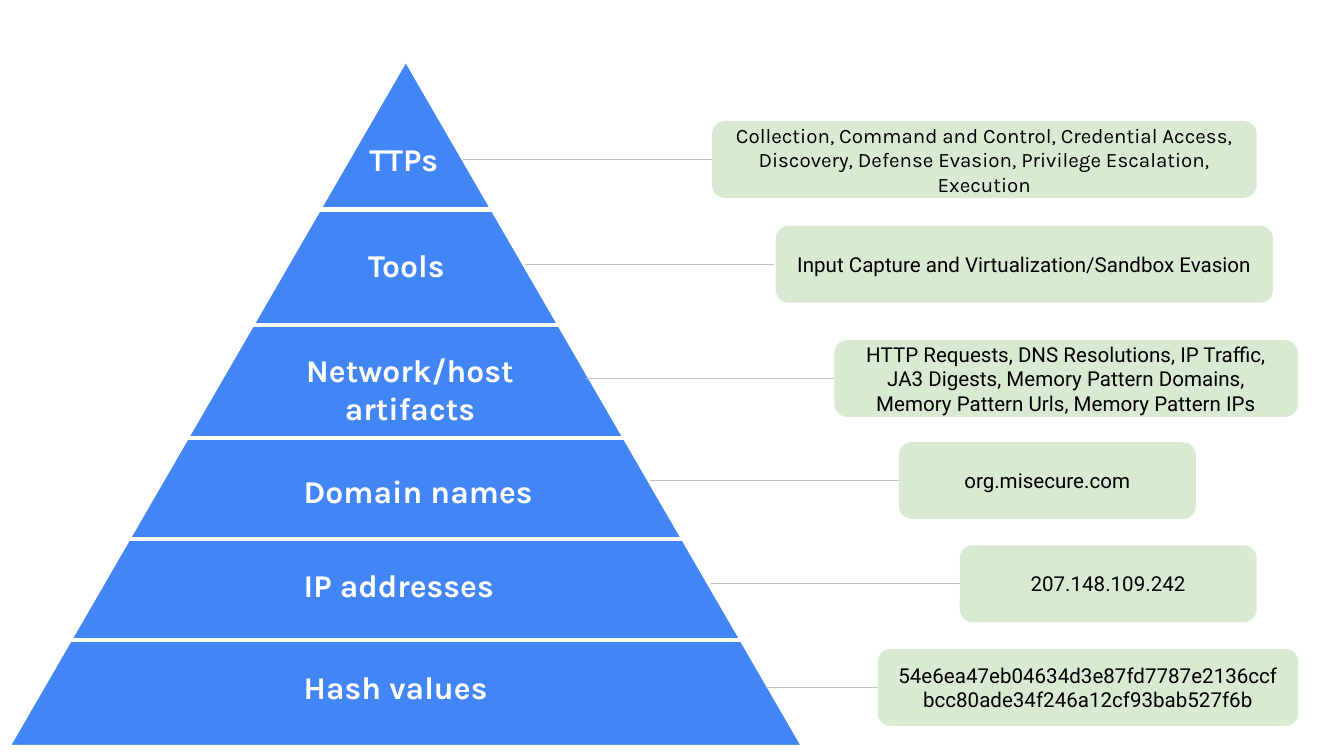
"""Build a pyramid slide that pairs six indicator tiers with examples."""
from lxml import etree
from pptx import Presentation
from pptx.dml.color import RGBColor
from pptx.enum.shapes import MSO_CONNECTOR, MSO_SHAPE
from pptx.enum.text import MSO_ANCHOR, PP_ALIGN
from pptx.oxml.ns import qn
from pptx.util import Cm, Pt

TRIANGLE = MSO_SHAPE.ISOSCELES_TRIANGLE
ROUNDED = MSO_SHAPE.ROUNDED_RECTANGLE
STRAIGHT, ELBOW = MSO_CONNECTOR.STRAIGHT, MSO_CONNECTOR.ELBOW
LEFT, CENTER = PP_ALIGN.LEFT, PP_ALIGN.CENTER
TOP, MIDDLE = MSO_ANCHOR.TOP, MSO_ANCHOR.MIDDLE

WHITE, BLACK, BLUE, GREEN, GRAY = "FFFFFF", "000000", "4285F4", "D9EAD3", "C2C2C2"
PYRAMID_LEFT, PYRAMID_TOP, PYRAMID_WIDTH, PYRAMID_HEIGHT = 0.15, 1.12, 15.04, 13
DIVIDER_TOPS = (3.96, 6.15, 8.28, 10.19, 12.09)
EXAMPLE_HEIGHT, LEADER_LENGTH, INSET = 1.45, 4.7, 0.25

# Label: text, left, top, width, height, alignment.
TIER_LABELS = (
    ("TTPs", 6.73, 2.39, 2.24, 1.24, LEFT),
    ("Tools", 6.71, 4.39, 2.24, 1.24, LEFT),
    ("Network/host artifacts", 4.98, 6.38, 5.54, 1.96, CENTER),
    ("Domain names", 5.49, 8.66, 5.69, 1.24, LEFT),
    ("IP addresses", 5.49, 10.44, 5.69, 1.24, LEFT),
    ("Hash values", 5.49, 12.37, 5.69, 1.24, LEFT),
)
# Example: text, font, leader start, left, top, width.
TIER_EXAMPLES = (
    ("Collection, Command and Control, Credential Access, Discovery, "
     "Defense Evasion, Privilege Escalation, Execution",
     "Karla", 8.76, 13.46, 2.29, 10.29),
    ("Input Capture and Virtualization/Sandbox Evasion",
     "Roboto", 9.93, 14.66, 4.27, 9.4),
    ("HTTP Requests, DNS Resolutions, IP Traffic, JA3 Digests, "
     "Memory Pattern Domains, Memory Pattern Urls, Memory Pattern IPs",
     "Roboto", 11.07, 15.77, 6.43, 8.76),
    ("org.misecure.com", "Roboto", 12.29, 16.99, 8.36, 5.61),
    ("207.148.109.242", "Roboto", 13.44, 18.14, 10.31, 5.61),
    ("54e6ea47eb04634d3e87fd7787e2136ccfbcc80ade34f246a12cf93bab527f6b",
     "Roboto", 14.48, 16.59, 12.27, 7.95),
)


def color(hex_code):
    """Return the colour for a hex string."""
    return RGBColor.from_string(hex_code)


def write_text(holder, text, font_name, size, hex_code, align, anchor, bold=False):
    """Write one formatted paragraph into a shape or text box."""
    frame = holder.text_frame
    frame.word_wrap = True
    frame.vertical_anchor = anchor
    frame.margin_left = frame.margin_right = Cm(INSET)
    frame.margin_top = frame.margin_bottom = Cm(INSET)
    paragraph = frame.paragraphs[0]
    paragraph.text = text
    paragraph.alignment = align
    font = paragraph.font
    font.name, font.size, font.bold = font_name, Pt(size), bold
    font.color.rgb = color(hex_code)


def add_filled(slide, preset, left, top, width, height, hex_code):
    """Add a flat filled shape without an outline."""
    filled = slide.shapes.add_shape(preset, Cm(left), Cm(top), Cm(width), Cm(height))
    filled.shadow.inherit = False
    filled.fill.solid()
    filled.fill.fore_color.rgb = color(hex_code)
    filled.line.fill.background()
    return filled


def add_level_line(slide, kind, start, end, top, hex_code, weight):
    """Add a horizontal connector without a shadow."""
    rule = slide.shapes.add_connector(kind, Cm(start), Cm(top), Cm(end), Cm(top))
    rule.line.color.rgb = color(hex_code)
    rule.line.width = Pt(weight)
    etree.SubElement(rule._element.spPr, qn("a:effectLst"))


def add_pyramid(slide):
    """Add the triangle and the dividers that span it at each height."""
    pyramid = add_filled(slide, TRIANGLE, PYRAMID_LEFT, PYRAMID_TOP,
                         PYRAMID_WIDTH, PYRAMID_HEIGHT, BLUE)
    pyramid.line.color.rgb = color(WHITE)
    pyramid.line.width = Pt(2.25)
    center = PYRAMID_LEFT + PYRAMID_WIDTH / 2
    for top in DIVIDER_TOPS:
        reach = (top - PYRAMID_TOP) / PYRAMID_HEIGHT * PYRAMID_WIDTH / 2
        add_level_line(slide, STRAIGHT, center - reach, center + reach, top, WHITE, 2.25)


def add_label(slide, text, left, top, width, height, align):
    """Add the name of a tier."""
    label = slide.shapes.add_textbox(Cm(left), Cm(top), Cm(width), Cm(height))
    write_text(label, text, "Karla", 17, WHITE, align, TOP, bold=True)


def add_example(slide, text, font_name, leader_start, left, top, width):
    """Add a leader line and the example box it points to."""
    add_level_line(slide, ELBOW, leader_start, leader_start + LEADER_LENGTH,
                   top + EXAMPLE_HEIGHT / 2, GRAY, 0.75)
    example = add_filled(slide, ROUNDED, left, top, width, EXAMPLE_HEIGHT, GREEN)
    write_text(example, text, font_name, 11, BLACK, CENTER, MIDDLE)


def main():
    """Build and save the slide."""
    deck = Presentation()
    deck.slide_width, deck.slide_height = Cm(25.4), Cm(14.29)
    slide = deck.slides.add_slide(deck.slide_layouts[6])
    add_pyramid(slide)
    for label in TIER_LABELS:
        add_label(slide, *label)
    for example in TIER_EXAMPLES:
        add_example(slide, *example)
    deck.save("out.pptx")


if __name__ == "__main__":
    main()
